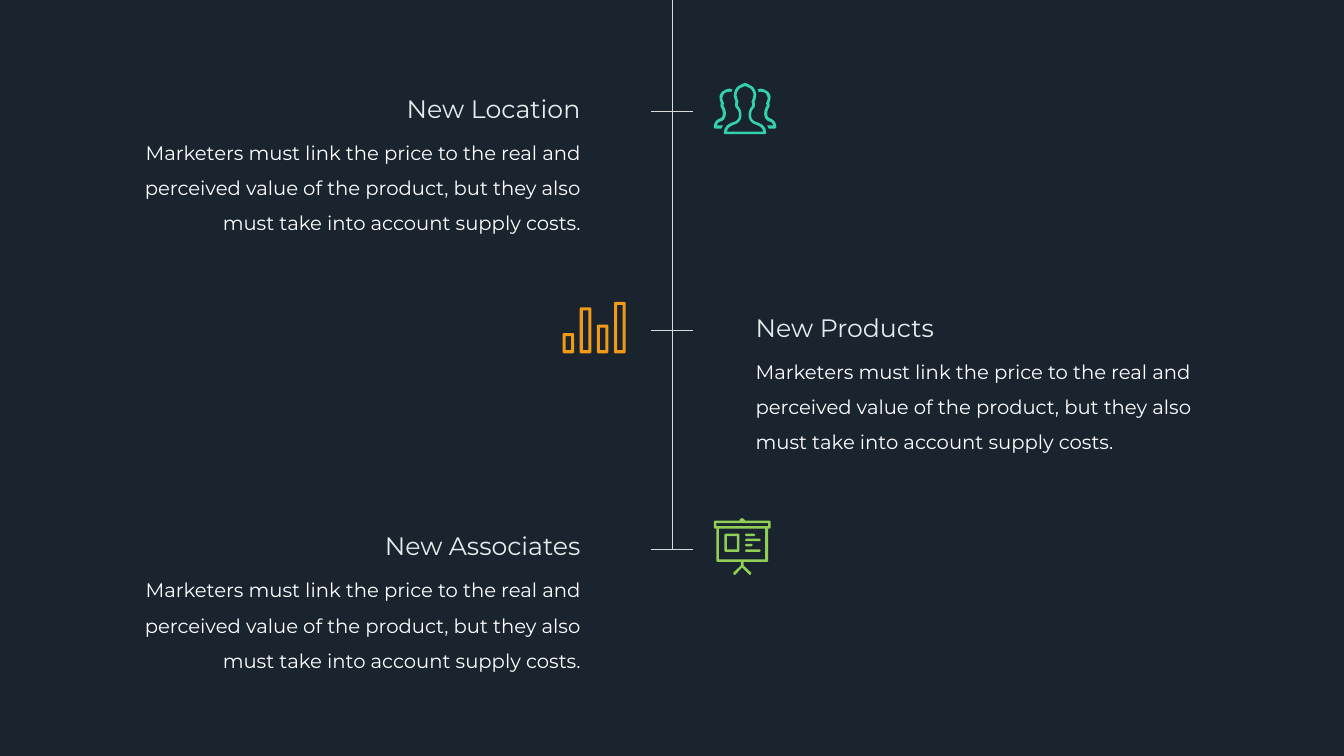
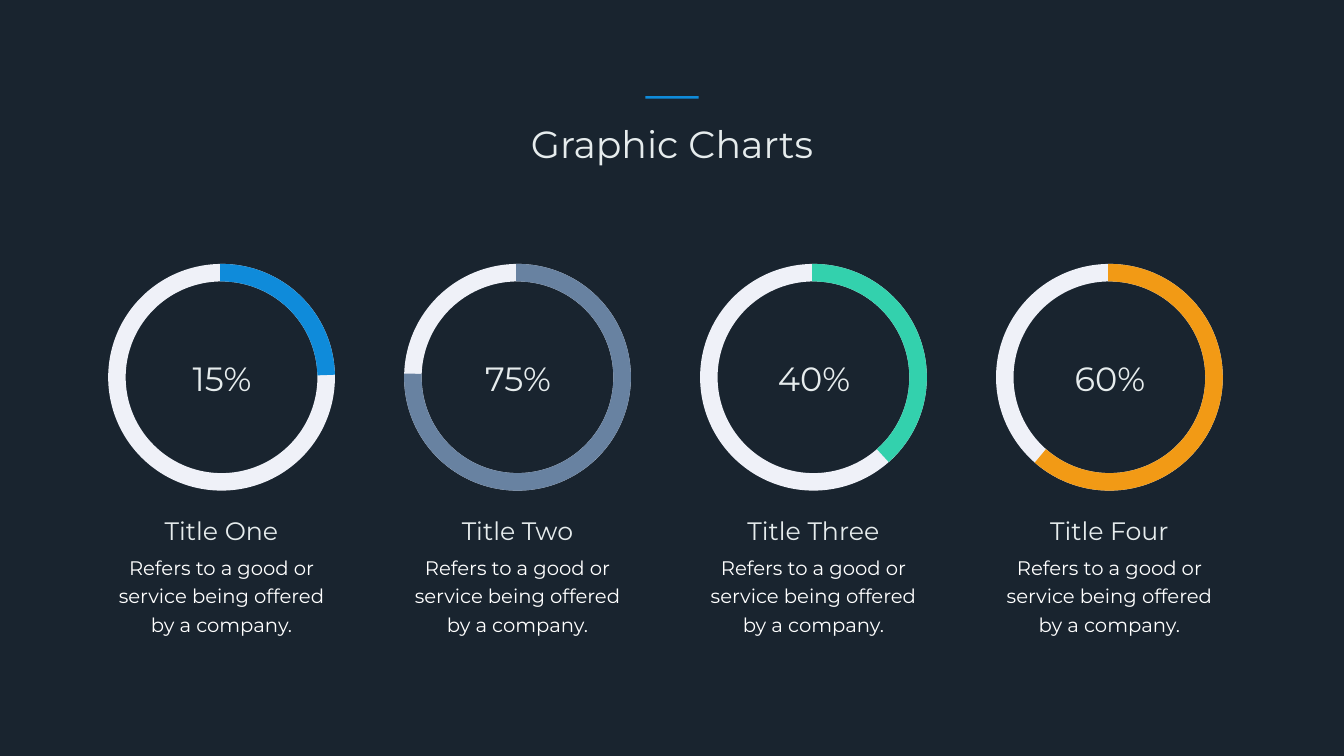
from lxml.etree import SubElement as Sub
from pptx import Presentation
from pptx.dml.color import RGBColor as Rgb
from pptx.enum.shapes import MSO_CONNECTOR as Link, MSO_SHAPE as Kind
from pptx.enum.text import MSO_ANCHOR as Anchor, MSO_AUTO_SIZE as Fit, PP_ALIGN as Align
from pptx.oxml.ns import qn
from pptx.util import Inches, Pt

HUES = {
    "night": "19242F", "mist": "E6ECED", "white": "FFFFFF", "rule": "D9D9D9",
    "track": "EFF1F8", "blue": "0F8BDA", "slate": "6882A1", "teal": "33D1AD",
    "amber": "F29A15", "lime": "91CE55",
}
FONT = "Montserrat"

HEAD = (0, 0, 4, 0, 6, 2, 8, 3, 14, 6, 18, 8, 21, 17, 24, 24, 21, 32, 19, 36,
        21, 46, 18, 49, 18, 49, 16, 51, 12, 54, 12, 64, 12, 74, 22, 77, 22, 77,
        29, 79, 42, 83, 42, 99, 42, 99, 42, 101, 39, 101)
INNER = (0, 6, 1, 6, 4, 7, 5, 8, 11, 10, 13, 12, 16, 19, 18, 24, 15, 31, 14, 34,
         14, 34, 13, 35, 13, 38, 15, 43, 14, 45, 14, 45, 13, 46, 13, 46, 13, 46,
         11, 49, 7, 54, 7, 64, 7, 75, 16, 81, 21, 82, 28, 85, 35, 88, 36, 96)
SIDE = (48, 76, 44, 75, 38, 70, 38, 61, 38, 52, 41, 48, 42, 46, 43, 46, 43, 44,
        42, 41, 42, 40, 42, 38, 43, 37, 44, 35, 46, 30, 44, 26, 42, 20, 41, 20,
        37, 18, 37, 18, 34, 17, 31, 17, 30, 17, 28, 17, 27, 18, 27, 16, 26, 14,
        25, 12, 27, 12, 29, 11, 31, 11, 35, 11, 39, 13, 40, 14, 45, 16, 47, 17,
        50, 24, 52, 30, 49, 36, 48, 40, 50, 47, 47, 49, 47, 49, 46, 51, 44, 54,
        44, 61, 44, 69, 50, 70, 50, 70, 55, 72, 62, 76, 62, 87, 62, 87, 62, 90,
        59, 90, 59, 90, 47, 90, 47, 90, 46, 88, 45, 86, 44, 84, 44, 84, 56, 84,
        56, 84, 55, 79, 52, 77, 48, 76)


def bend(flat, steps=5):
    pts = list(zip(flat[::2], flat[1::2]))
    out = pts[:1]
    for i in range(0, len(pts) - 3, 3):
        for n in range(1, steps + 1):
            t = n / steps
            mix = ((1 - t) ** 3, 3 * t * (1 - t) ** 2, 3 * t * t * (1 - t), t ** 3)
            out.append(tuple(sum(m * p[k] for m, p in zip(mix, pts[i:i + 4]))
                             for k in (0, 1)))
    return out


def flip(pts):
    return [(-x, y) for x, y in reversed(pts)]


def box(x, y, w, h, cut=0):
    r, b = x + w, y + h
    return [(x + cut, y), (r - cut, y), (r, y + cut), (r, b - cut),
            (r - cut, b), (x + cut, b), (x, b - cut), (x, y + cut)]


def ring(x, y, w, h, wall):
    return [box(x, y, w, h, 2), box(x + wall, y + wall, w - 2 * wall, h - 2 * wall)]


def crowd():
    side = bend(SIDE)
    whole = [pts + flip(pts) for pts in (bend(HEAD), bend(INNER))]
    return [[(x + 62, y) for x, y in pts] for pts in whole + [side, flip(side)]]


def bars():
    return [loop for i, top in enumerate((62, 11, 45, 0))
            for loop in ring(34 * i, top, 23, 102 - top, 6)]


def board():
    knob = [(51, 5), (52, 2), (56, 0), (60, 2), (62, 5)]
    legs = [(54, 87), (54, 94), (39, 108), (39, 111), (41, 113), (43, 112), (56, 98),
            (70, 112), (72, 113), (74, 111), (74, 108), (59, 94), (59, 87)]
    notes = [box(62, y, w, 5, 2) for y, w in ((31, 20), (41, 31), (51, 15), (62, 31))]
    panel = [box(5, 21, 103, 66, 2), box(10, 21, 92, 61)]
    return [knob, legs, *notes, *panel, *ring(0, 5, 113, 16, 5), *ring(21, 31, 30, 36, 5)]


class Deck:
    def __init__(self):
        self.prs = Presentation()
        self.prs.slide_width, self.prs.slide_height = Inches(26.66), Inches(15)
        self.ink(self.prs.slide_master.background.fill, "night")

    def ink(self, fill, hue):
        fill.solid()
        fill.fore_color.rgb = Rgb.from_string(HUES[hue])

    def page(self, layout):
        self.slide = self.prs.slides.add_slide(self.prs.slide_layouts[layout])
        self.shapes = self.slide.shapes

    def across(self, share):
        return round(self.prs.slide_width * share / 100)

    def down(self, share):
        return round(self.prs.slide_height * share / 100)

    def area(self, x, y, w, h):
        return self.across(x), self.down(y), self.across(w), self.down(h)

    def label(self, shape, words, size, hue, align, space=None):
        frame = shape.text_frame
        frame.word_wrap, frame.auto_size = True, Fit.SHAPE_TO_FIT_TEXT
        frame.vertical_anchor = Anchor.TOP
        para = frame.paragraphs[0]
        para.alignment = align
        if space:
            para.line_spacing = space
        run = para.add_run()
        run.text = words
        run.font.name, run.font.size = FONT, Pt(size)
        run.font.color.rgb = Rgb.from_string(HUES[hue])

    def text(self, x, y, w, h, words, size, hue="mist", align=Align.CENTER, space=None):
        shape = self.shapes.add_textbox(*self.area(x, y, w, h))
        self.label(shape, words, size, hue, align, space)

    def title(self, words):
        shape = self.shapes.title
        shape.left, shape.top, shape.width, shape.height = self.area(30.91, 15.6, 38.18, 6.73)
        self.label(shape, words, 54, "mist", Align.CENTER)
        self.shape(Kind.RECTANGLE, 48.01, 12.73, 3.98, 0.33, "blue")

    def shape(self, kind, x, y, w, h, fill=None, edge=None):
        shape = self.shapes.add_shape(kind, *self.area(x, y, w, h))
        shape.shadow.inherit = False
        if fill:
            self.ink(shape.fill, fill)
        else:
            shape.fill.background()
        if edge:
            self.ink(shape.line.fill, edge)
            shape.line.width = Pt(25)
        else:
            shape.line.fill.background()
        return shape

    def line(self, x1, y1, x2, y2):
        line = self.shapes.add_connector(
            Link.STRAIGHT, self.across(x1), self.down(y1), self.across(x2), self.down(y2))
        self.ink(line.line.fill, "rule")
        line.line.width = Pt(0.5)
        Sub(line._element.spPr, qn("a:effectLst"))

    def icon(self, x, y, loops, hue):
        fine = [[(10 * a, 10 * b) for a, b in pts] for pts in loops]
        pen = self.shapes.build_freeform(*fine[0][0], scale=self.across(100) / 26660)
        for i, pts in enumerate(fine):
            if i:
                pen.move_to(*pts[0])
            pen.add_line_segments(pts[1:], close=True)
        shape = pen.convert_to_shape(self.across(x), self.down(y))
        shape.shadow.inherit = False
        self.ink(shape.fill, hue)
        shape.line.fill.background()

    def dial(self, mid, end, hue):
        spot = mid - 7.78, 36.07, 15.57, 27.67
        self.shape(Kind.OVAL, *spot, "night", "track")
        arc = self.shape(Kind.ARC, *spot, edge=hue)
        for i, angle in enumerate((269.26, end)):
            arc.adjustments[i] = angle * 0.6


def story(deck):
    deck.page(6)
    pitch, tick = 28.93, 14.73
    body = ("Marketers must link the price to the real and perceived value of the product, "
            "but they also must take into account supply costs.")
    deck.line(50.04, 0, 50.04, tick + 2 * pitch)
    events = (("New Location", 53.11, 11, crowd(), "teal"),
              ("New Products", 41.86, 39.93, bars(), "amber"),
              ("New Associates", 53.11, 68.53, board(), "lime"))
    for i, (name, x, y, loops, hue) in enumerate(events):
        top, row = 12 + i * pitch, tick + i * pitch
        right = i % 2
        align = Align.LEFT if right else Align.RIGHT
        wide = 35.33 if right else 33.42
        for words, drop, w, h, size, tint, space in (
                (name, 0, 22.2, 4.73, 36, "mist", None),
                (body, 4.73, wide, 14.8, 28, "white", 1.5)):
            left = 55.85 if right else 43.55 - w
            deck.text(left, top + drop, w, h, words, size, tint, align, space)
        deck.line(48.46, row, 51.58, row)
        deck.icon(x, y, loops, hue)


def charts(deck):
    deck.page(5)
    deck.title("Graphic Charts")
    dials = (("One", "15%", 358.78, "blue"), ("Two", "75%", 181.94, "slate"),
             ("Three", "40%", 48.5, "teal"), ("Four", "60%", 131.28, "amber"))
    for i, (name, share, end, hue) in enumerate(dials):
        mid = 16.48 + 22.02 * i
        deck.dial(mid, end, hue)
        deck.text(mid - 8.65, 67.87, 17.3, 4.73, f"Title {name}", 36)
        deck.text(mid - 8.25, 72.53, 16.5, 12.2,
                  "Refers to a good or service being offered by a company.",
                  28, "white", space=Pt(40.8))
        deck.text(mid - 4.1, 47, 8.29, 6.07, share, 48)


def main():
    deck = Deck()
    story(deck)
    charts(deck)
    deck.prs.save("out.pptx")


if __name__ == "__main__":
    main()
